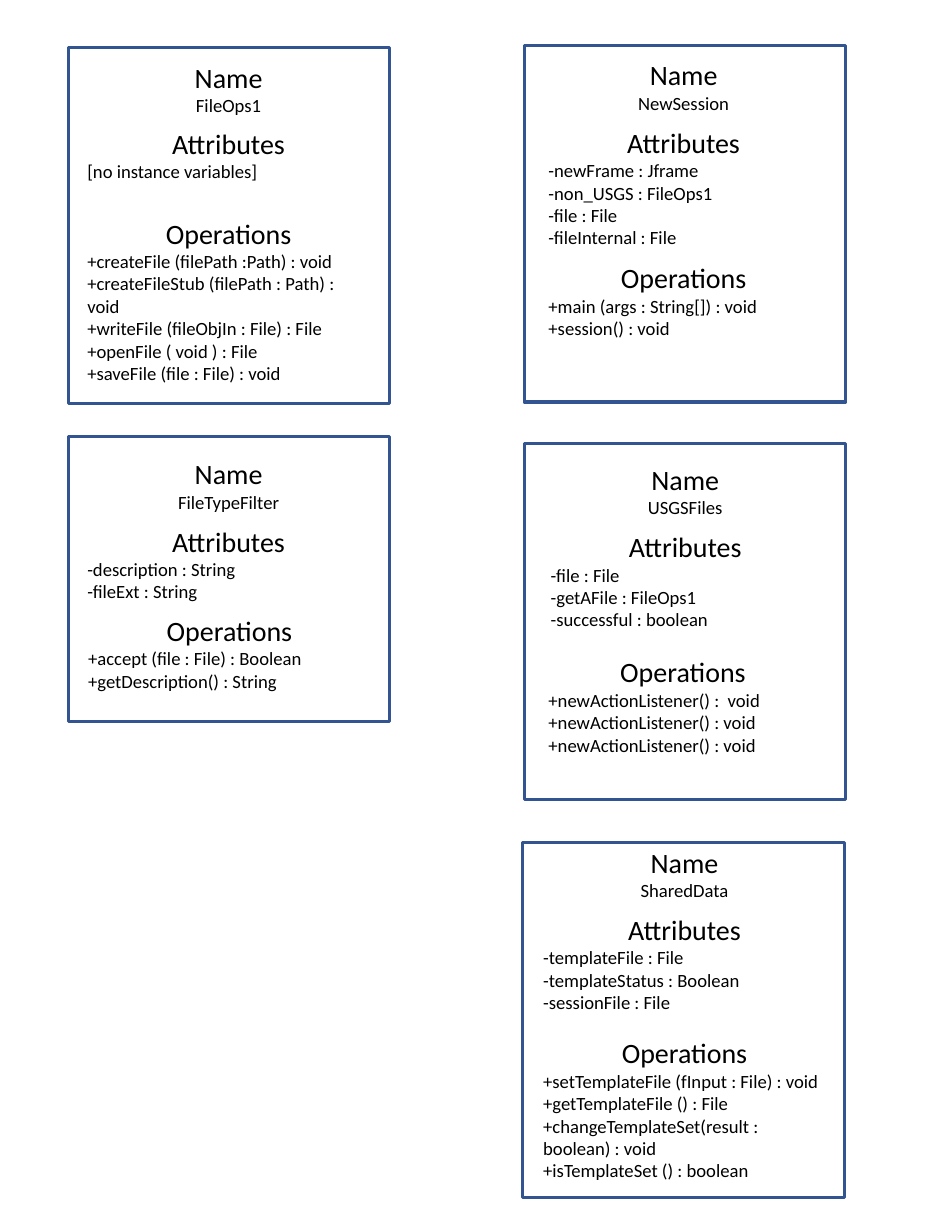
import pptx
import pptx.dml.color
import pptx.enum.shapes
import pptx.enum.text
import pptx.util
from pptx.util import Cm

BORDER = pptx.dml.color.RGBColor(0x32, 0x54, 0x91)
INK = pptx.dml.color.RGBColor(0, 0, 0)
CENTER = pptx.enum.text.PP_ALIGN.CENTER
LEFT = pptx.enum.text.PP_ALIGN.LEFT
FRAME_WIDTH = 7.29

# Each class: grouped, frame (left, top, height), section width,
# then per section: (left, top, height), lines.
CLASSES = [
    (True, (1.55, 1.07, 8.08), 6.91, [
        ((1.73, 1.24, 1.55), ["FileOps1"]),
        ((1.73, 2.74, 2.06), ["[no instance variables]"]),
        ((1.73, 4.78, 4.09), [
            "+createFile (filePath :Path) : void",
            "+createFileStub (filePath : Path) : void",
            "+writeFile (fileObjIn : File) : File",
            "+openFile ( void ) : File",
            "+saveFile (file : File) : void"]),
    ]),
    (False, (1.55, 9.91, 6.45), 6.91, [
        ((1.73, 10.24, 1.55), ["FileTypeFilter"]),
        ((1.73, 11.76, 2.57), ["-description : String", "-fileExt : String"]),
        ((1.75, 13.79, 2.57), ["+accept (file : File) : Boolean",
                               "+getDescription() : String"]),
    ]),
    (True, (11.86, 19.1, 8.05), 6.91, [
        ((12.07, 19.05, 1.55), ["SharedData"]),
        ((12.07, 20.57, 2.57), ["-templateFile : File",
                                "-templateStatus : Boolean",
                                "-sessionFile : File"]),
        ((12.07, 23.37, 3.58), ["+setTemplateFile (fInput : File) : void",
                                "+getTemplateFile () : File",
                                "+changeTemplateSet(result : boolean) : void",
                                "+isTemplateSet () : boolean"]),
    ]),
    (True, (11.89, 1.04, 8.08), 6.63, [
        ((12.19, 1.19, 1.55), ["NewSession"]),
        ((12.19, 2.72, 3.07), ["-newFrame : Jframe", "-non_USGS : FileOps1",
                               "-file : File", "-fileInternal : File"]),
        ((12.19, 5.79, 2.57), ["+main (args : String[]) : void",
                               "+session() : void"]),
    ]),
    (True, (11.89, 10.06, 8.08), 6.6, [
        ((12.24, 10.36, 1.55), ["USGSFiles"]),
        ((12.24, 11.89, 2.57), ["-file : File", "-getAFile : FileOps1",
                                "-successful : boolean"]),
        ((12.19, 14.73, 2.57), ["+newActionListener() :  void",
                                "+newActionListener() : void",
                                "+newActionListener() : void"]),
    ]),
]


def add_frame(shapes, left, top, height):
    frame = shapes.add_shape(pptx.enum.shapes.MSO_SHAPE.RECTANGLE,
                             Cm(left), Cm(top), Cm(FRAME_WIDTH), Cm(height))
    frame.shadow.inherit = False
    frame.fill.background()
    frame.line.color.rgb = BORDER
    frame.line.width = pptx.util.Pt(2)


def write_line(paragraph, text, size, alignment):
    paragraph.text = text
    paragraph.alignment = alignment
    paragraph.font.name = "Calibri"
    paragraph.font.size = pptx.util.Pt(size)
    paragraph.font.color.rgb = INK


def add_section(shapes, place, width, heading, lines):
    left, top, height = place
    section = shapes.add_textbox(Cm(left), Cm(top), Cm(width), Cm(height))
    body = section.text_frame
    body.word_wrap = True
    write_line(body.paragraphs[0], heading, 18, CENTER)
    alignment = CENTER if heading == "Name" else LEFT
    for line in lines:
        write_line(body.add_paragraph(), line, 12, alignment)


def add_class(slide, grouped, frame, width, sections):
    shapes = slide.shapes.add_group_shape().shapes if grouped else slide.shapes
    add_frame(shapes, *frame)
    headings = ("Name", "Attributes", "Operations")
    for heading, (place, lines) in zip(headings, sections):
        add_section(shapes, place, width, heading, lines)


def main():
    deck = pptx.Presentation()
    deck.slide_width = Cm(21.59)
    deck.slide_height = Cm(27.94)
    slide = deck.slides.add_slide(deck.slide_layouts[6])
    for class_box in CLASSES:
        add_class(slide, *class_box)
    deck.save("out.pptx")


if __name__ == "__main__":
    main()
